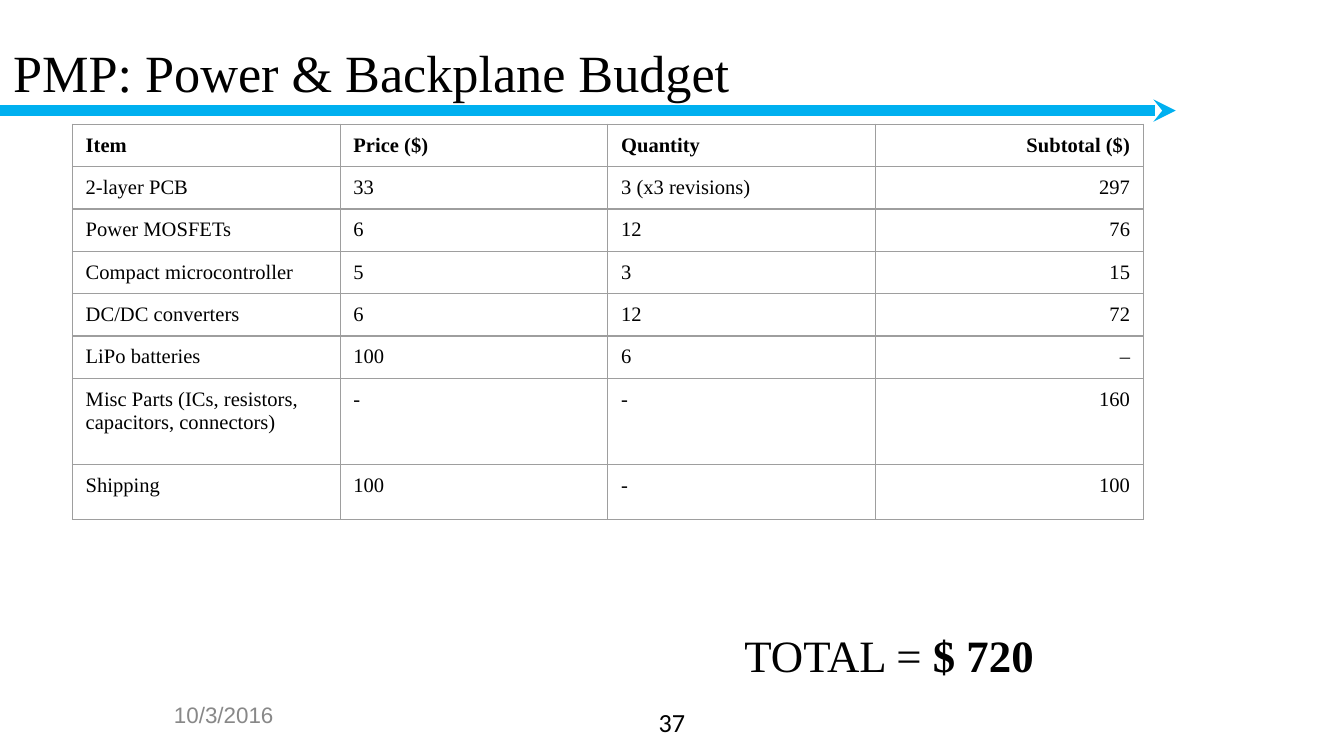
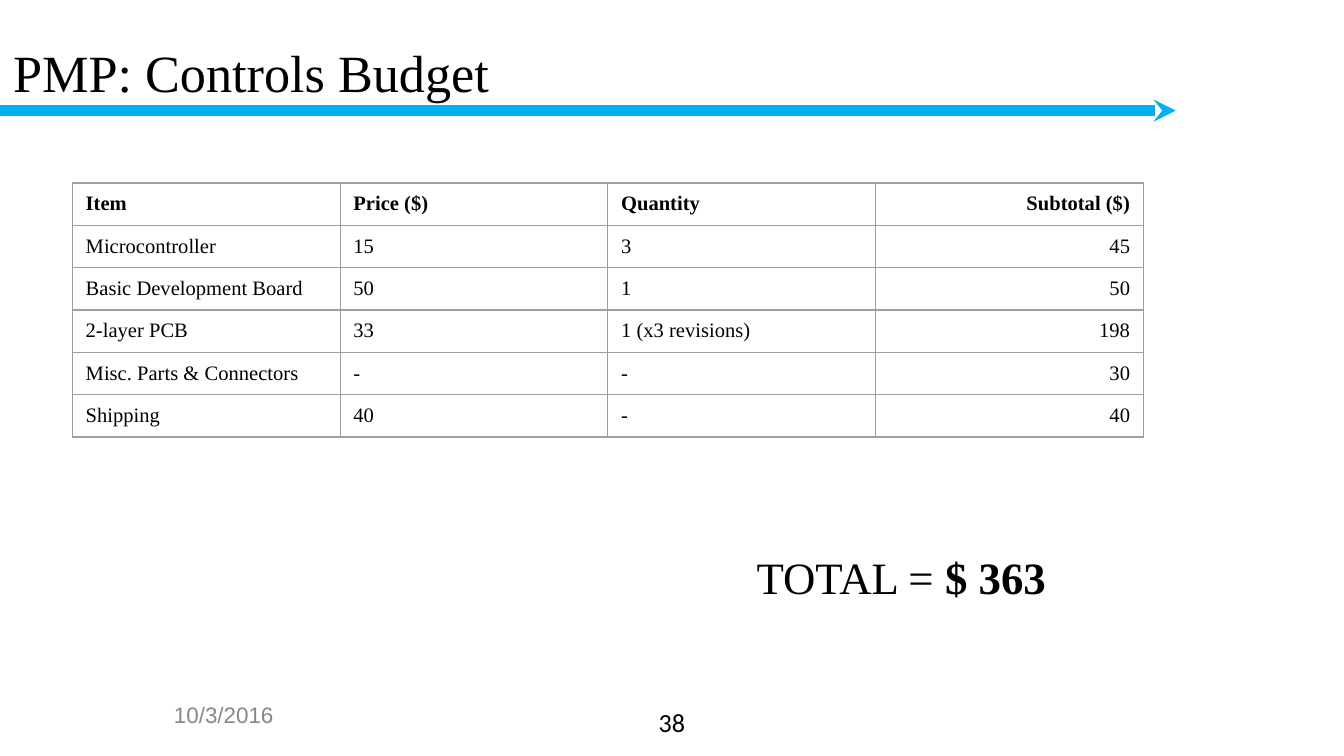
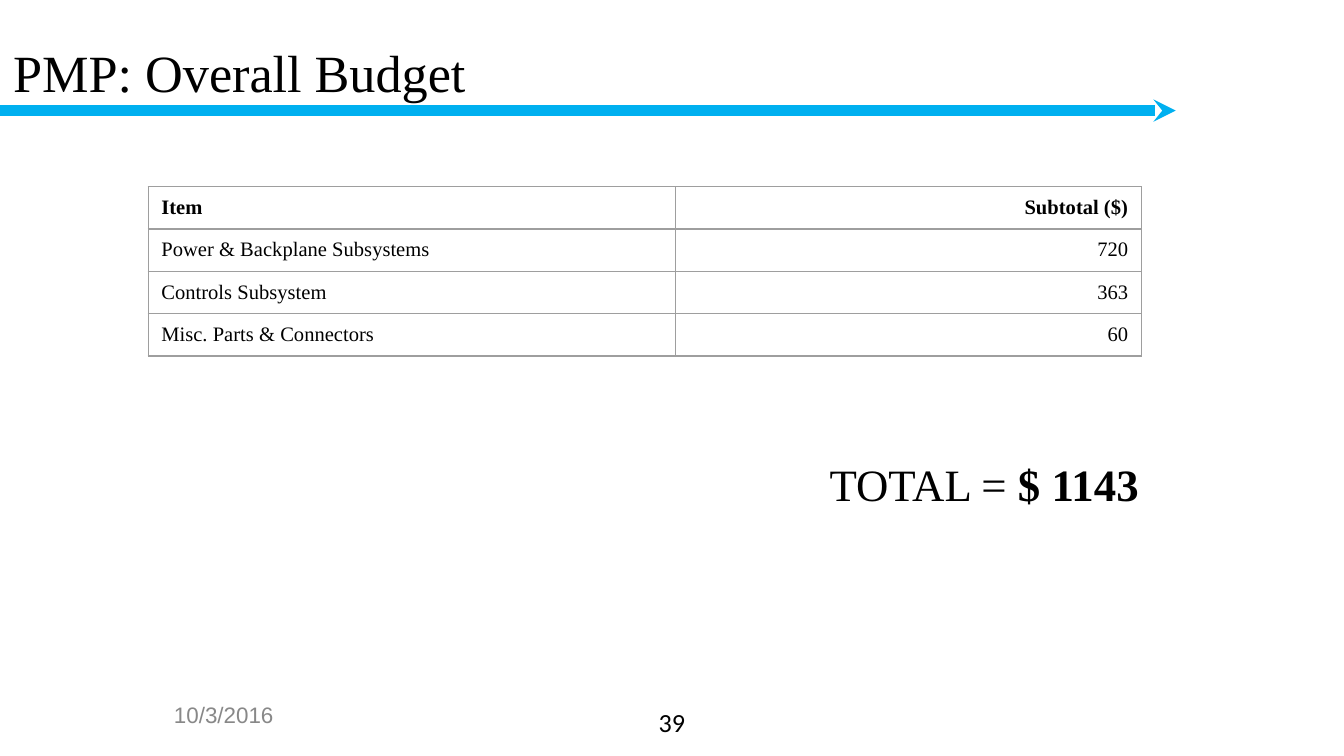
from lxml import etree
from pptx import Presentation
from pptx import util as u
from pptx.dml.color import RGBColor
from pptx.enum import shapes, text
from pptx.oxml.ns import qn

# Content
DATE = "10/3/2016"
FIRST_PAGE = 37
HEADER = ("Item", "Price ($)", "Quantity", "Subtotal ($)")

# Lengths in cm; "tall" gives the rows that exceed the usual height
BUDGETS = [
    {
        "title": "PMP: Power & Backplane Budget",
        "rows": [
            HEADER,
            ("2-layer PCB", "33", "3 (x3 revisions)", "297"),
            ("Power MOSFETs", "6", "12", "76"),
            ("Compact microcontroller", "5", "3", "15"),
            ("DC/DC converters", "6", "12", "72"),
            ("LiPo batteries", "100", "6", "–"),
            ("Misc Parts (ICs, resistors, capacitors, connectors)", "-", "-", "160"),
            ("Shipping", "100", "-", "100"),
        ],
        "corner": (1.37, 2.35),
        "columns": [5.06] * 4,
        "tall": {6: 1.63, 7: 1.04},
        "total": "$ 720",
        "total_box": (13.82, 11.61, 7.8, 1.09),
        "total_align": text.PP_ALIGN.LEFT,
    },
    {
        "title": "PMP: Controls Budget",
        "rows": [
            HEADER,
            ("Microcontroller", "15", "3", "45"),
            ("Basic Development Board", "50", "1", "50"),
            ("2-layer PCB", "33", "1 (x3 revisions)", "198"),
            ("Misc. Parts & Connectors", "-", "-", "30"),
            ("Shipping", "40", "-", "40"),
        ],
        "corner": (1.37, 3.46),
        "columns": [5.06] * 4,
        "tall": {},
        "total": "$ 363",
        "total_box": (14.05, 10.14, 7.72, 1.09),
        "total_align": text.PP_ALIGN.LEFT,
    },
    {
        "title": "PMP: Overall Budget",
        "rows": [
            (HEADER[0], HEADER[-1]),
            ("Power & Backplane Subsystems", "720"),
            ("Controls Subsystem", "363"),
            ("Misc. Parts & Connectors", "60"),
        ],
        "corner": (2.8, 3.53),
        "columns": [9.96, 8.81],
        "tall": {},
        "total": "$ 1143",
        "total_box": (13.69, 8.39, 8.08, 1.09),
        "total_align": text.PP_ALIGN.RIGHT,
    },
]

# Shared style
BLACK = RGBColor(0x00, 0x00, 0x00)
GREY = RGBColor(0x88, 0x88, 0x88)
BORDER = RGBColor(0x9E, 0x9E, 0x9E)
BLUE = RGBColor(0x00, 0xB0, 0xF0)
SERIF = "Times New Roman"
ROW_HEIGHT = 0.8
TITLE_BOX = (0, 0.15, 22.86, 2.39)
PAGE_BOX = (9.74, 13.23, 5.92, 0.99)
DATE_BOX = (1.27, 13.02, 5.92, 0.99)
RULE_Y, RULE_END = 2.09, 22.22


def add_run(paragraph, words, size, font=SERIF, color=BLACK, bold=False):
    run = paragraph.add_run()
    run.text = words
    run.font.size = u.Pt(size)
    run.font.name = font
    run.font.color.rgb = color
    run.font.bold = bold


def add_text(slide, box, align=text.PP_ALIGN.LEFT, anchor=text.MSO_ANCHOR.TOP, inset=0.13):
    """Add an empty text box and return its paragraph."""
    frame = slide.shapes.add_textbox(*map(u.Cm, box)).text_frame
    frame.word_wrap = True
    frame.vertical_anchor = anchor
    frame.margin_left = frame.margin_right = u.Cm(0.25)
    frame.margin_top = frame.margin_bottom = u.Cm(inset)
    frame.paragraphs[0].alignment = align
    return frame.paragraphs[0]


def add_frame(slide, title, page):
    """Add what every slide carries: arrow rule, title, page number, date."""
    rule = slide.shapes.add_connector(
        shapes.MSO_CONNECTOR.STRAIGHT, u.Cm(0), u.Cm(RULE_Y), u.Cm(RULE_END), u.Cm(RULE_Y))
    rule.line.color.rgb = BLUE
    rule.line.width = u.Pt(6)
    etree.SubElement(rule.line._get_or_add_ln(), qn("a:tailEnd"),
                     type="stealth", w="sm", len="sm")
    etree.SubElement(rule._element.spPr, qn("a:effectLst"))

    middle, center = text.MSO_ANCHOR.MIDDLE, text.PP_ALIGN.CENTER
    add_run(add_text(slide, TITLE_BOX, anchor=middle), title, 28)
    add_run(add_text(slide, PAGE_BOX, center), str(page), 14, "Calibri")
    add_run(add_text(slide, DATE_BOX, center, middle), DATE, 12, "Arial", GREY)


def add_borders(cell):
    properties = cell._tc.get_or_add_tcPr()
    for place, side in enumerate(("lnL", "lnR", "lnT", "lnB")):
        line = etree.Element(qn(f"a:{side}"), w=str(u.Pt(0.75)))
        fill = etree.SubElement(line, qn("a:solidFill"))
        etree.SubElement(fill, qn("a:srgbClr"), val=str(BORDER))
        properties.insert(place, line)


def add_budget(slide, budget):
    rows, columns = budget["rows"], budget["columns"]
    heights = [budget["tall"].get(i, ROW_HEIGHT) for i in range(len(rows))]
    place = (*budget["corner"], sum(columns), sum(heights))
    table = slide.shapes.add_table(len(rows), len(columns), *map(u.Cm, place)).table
    table.first_row = table.horz_banding = False
    for column, width in zip(table.columns, columns):
        column.width = u.Cm(width)
    for r, (row, height) in enumerate(zip(rows, heights)):
        table.rows[r].height = u.Cm(height)
        for c, words in enumerate(row):
            cell = table.cell(r, c)
            cell.fill.background()
            cell.margin_left = cell.margin_right = u.Cm(0.25)
            cell.margin_top, cell.margin_bottom = u.Cm(0.18), u.Cm(0.15)
            add_borders(cell)
            paragraph = cell.text_frame.paragraphs[0]
            if c == len(row) - 1:
                paragraph.alignment = text.PP_ALIGN.RIGHT
            add_run(paragraph, words, 11, bold=r == 0)


def add_total(slide, budget):
    total = add_text(slide, budget["total_box"], budget["total_align"], inset=0.25)
    add_run(total, "TOTAL = ", 24)
    add_run(total, budget["total"], 24, bold=True)


def main():
    deck = Presentation()
    deck.slide_width, deck.slide_height = u.Cm(25.4), u.Cm(14.29)
    blank = deck.slide_layouts[6]
    for page, budget in enumerate(BUDGETS, FIRST_PAGE):
        slide = deck.slides.add_slide(blank)
        add_frame(slide, budget["title"], page)
        add_budget(slide, budget)
        add_total(slide, budget)
    deck.save("out.pptx")


if __name__ == "__main__":
    main()
